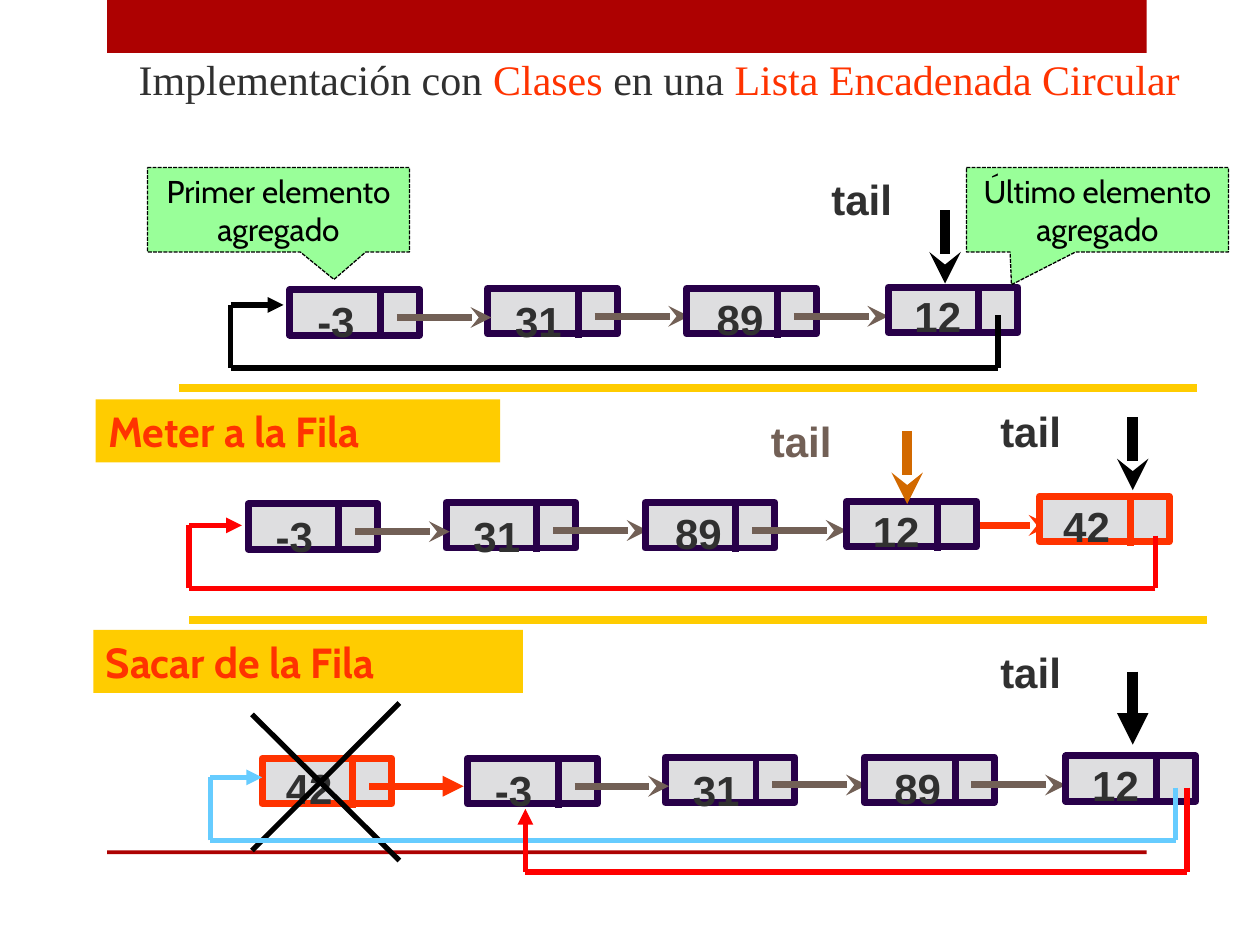
from itertools import pairwise

from lxml.etree import SubElement
from pptx import Presentation
from pptx.dml.color import RGBColor
from pptx.enum.dml import MSO_LINE_DASH_STYLE as Dash
from pptx.enum.shapes import MSO_CONNECTOR as Connector, MSO_SHAPE as Shape
from pptx.enum.text import MSO_ANCHOR as Anchor, MSO_AUTO_SIZE as AutoSize, PP_ALIGN as Align
from pptx.oxml.ns import qn
from pptx.util import Pt

SCALE = 9144

THEME = {
    "ink": "303030", "accent": "FF3300", "bar": "AD0101", "band": "FFCC00",
    "cell": "DEDEE0", "edge": "280049", "link": "726056", "black": "000000",
    "red": "FF0000", "sky": "66CCFF", "note": "99FF99", "old": "D26900",
    "title_font": {"name": "Times New Roman", "size": Pt(24), "bold": False},
    "label_font": {"name": "Arial", "size": Pt(24), "bold": True},
    "band_font": {"name": "Cabin", "size": Pt(24), "bold": True},
    "note_font": {"name": "Cabin", "size": Pt(18), "bold": False},
    "thin": 0.75, "loop": 3, "node": 4, "rule": 4.5, "pointer": 6,
}

TITLE = [("Implementación con ", "ink"), ("Clases", "accent"),
         (" en una ", "ink"), ("Lista Encadenada Circular", "accent")]
BARS = [(85, 0, 825, 42), (85, 675, 825, 3)]
CHAIN = [("31", 157, 1), ("89", 315, 1), ("-3", 0, 2), ("12", 475, 0)]
CHAIN_ORIGINS = [(230, 228), (197, 398), (371, 600)]
LABEL_BOXES = {"-3": (12, 0, 50), "31": (12, 1, 57), "89": (14, -1, 57),
               "12": (11, -2, 57), "42": (9, -2, 57)}
ENTERING_LINK = [(758, 417), (833, 417)]
ENTERING_NODE = (825, 394)
LEAVING_NODE = (208, 602)
TAILS = [(650, 133, "ink", 750, 167, "black", "stealth"),
         (784, 317, "ink", 899, 331, "black", "stealth"),
         (602, 325, "link", 720, 342, "old", "stealth"),
         (784, 508, "ink", 899, 533, "black", "triangle")]
SECTIONS = [("Meter a la Fila", 76, 317, 321, 142, 308),
            ("Sacar de la Fila", 74, 500, 341, 150, 492)]
CROSS = [[(200, 567), (317, 683)], [(317, 558), (200, 675)]]
LOOPS = [
    ("black", [(792, 250), (792, 292), (183, 292), (183, 242), (225, 242)]),
    ("red", [(917, 425), (917, 467), (150, 467), (150, 417), (192, 417)]),
    ("sky", [(933, 625), (933, 667), (167, 667), (167, 617), (208, 617)]),
    ("red", [(942, 625), (942, 692), (417, 692), (417, 642)]),
]
NOTES = [("Primer elemento agregado", 117, (0.212, 0.826)),
         ("Último elemento agregado", 767, (-0.328, 0.888))]


def px(*lengths):
    return [length * SCALE for length in lengths]


def color(name):
    return RGBColor.from_string(THEME[name])


def apply(target, formats):
    for attribute, value in formats.items():
        setattr(target, attribute, value)


def add_run(paragraph, text, font, ink):
    run = paragraph.add_run()
    run.text = text
    apply(run.font, THEME[font])
    run.font.color.rgb = color(ink)


def add_line(start, end, ink, weight, head=None):
    line = slide.shapes.add_connector(Connector.STRAIGHT, *px(*start, *end))
    line.line.color.rgb = color(ink)
    line.line.width = Pt(THEME[weight])
    if head:
        SubElement(line.line._get_or_add_ln(), qn("a:tailEnd"), type=head)
    SubElement(line._element.spPr, qn("a:effectLst"))


def add_block(preset, box, fill, edge=None, weight="thin"):
    block = slide.shapes.add_shape(preset, *px(*box))
    block.shadow.inherit = False
    block.fill.solid()
    block.fill.fore_color.rgb = color(fill)
    if edge:
        block.line.color.rgb = color(edge)
        block.line.width = Pt(THEME[weight])
    else:
        block.line.fill.background()
    return block


def add_text(text, box, font, ink, wrap=False):
    label = slide.shapes.add_textbox(*px(*box))
    apply(label.text_frame, {"word_wrap": wrap, "auto_size": AutoSize.SHAPE_TO_FIT_TEXT})
    add_run(label.text_frame.paragraphs[0], text, font, ink)
    return label


def add_node(label, x, y, edge="edge", link=None, head="stealth"):
    add_block(Shape.RECTANGLE, (x, y, 103, 36), "cell", edge, "node")
    add_line((x + 72, y - 2), (x + 72, y + 39), edge, "node")
    if link:
        add_line((x + 85, y + 22), (x + 160, y + 22), link, "node", head)
    dx, dy, width = LABEL_BOXES[label]
    add_text(label, (x + dx, y + dy, width, 50), "label_font", "ink")


deck = Presentation()
apply(deck, dict(zip(("slide_width", "slide_height"), px(1000, 750))))
slide = deck.slides.add_slide(deck.slide_layouts[5])

title = slide.shapes.title
apply(title, dict(zip(("left", "top", "width", "height"), px(100, 0, 850, 125))))
apply(title.text_frame, {"vertical_anchor": Anchor.MIDDLE, "word_wrap": True,
                         "auto_size": AutoSize.NONE})
heading = title.text_frame.paragraphs[0]
heading.alignment = Align.LEFT
for words, ink in TITLE:
    add_run(heading, words, "title_font", ink)

for bar in BARS:
    add_block(Shape.RECTANGLE, bar, "bar")

add_line(*ENTERING_LINK, "accent", "node", "stealth")
add_node("42", *ENTERING_NODE, "accent")
add_node("42", *LEAVING_NODE, "accent", "accent", "triangle")
for left, top in CHAIN_ORIGINS:
    for value, dx, dy in CHAIN:
        add_node(value, left + dx, top + dy, link=None if value == "12" else "link")

for text, x, y, width, rule_x, rule_y in SECTIONS:
    add_line((rule_x, rule_y), (rule_x + 808, rule_y), "band", "rule")
    band = add_text(text, (x, y, width, 50), "band_font", "accent", True)
    band.fill.solid()
    band.fill.fore_color.rgb = color("band")

for x, y, ink, arrow_x, arrow_y, arrow_ink, head in TAILS:
    add_text("tail", (x, y, 68, 50), "label_font", ink)
    add_line((arrow_x, arrow_y), (arrow_x, arrow_y + 58), arrow_ink, "pointer", head)

for stroke in CROSS:
    add_line(*stroke, "black", "loop")

for ink, corners in LOOPS:
    for start, end in pairwise(corners):
        add_line(start, end, ink, "loop", "triangle" if end == corners[-1] else None)

for text, x, tip in NOTES:
    note = add_block(Shape.RECTANGULAR_CALLOUT, (x, 133, 208, 67), "note", "black")
    note.line.dash_style = Dash.SQUARE_DOT
    note.adjustments[0], note.adjustments[1] = tip
    apply(note.text_frame, {"word_wrap": True, "vertical_anchor": Anchor.MIDDLE})
    paragraph = note.text_frame.paragraphs[0]
    paragraph.alignment = Align.CENTER
    add_run(paragraph, text, "note_font", "black")

deck.save("out.pptx")
